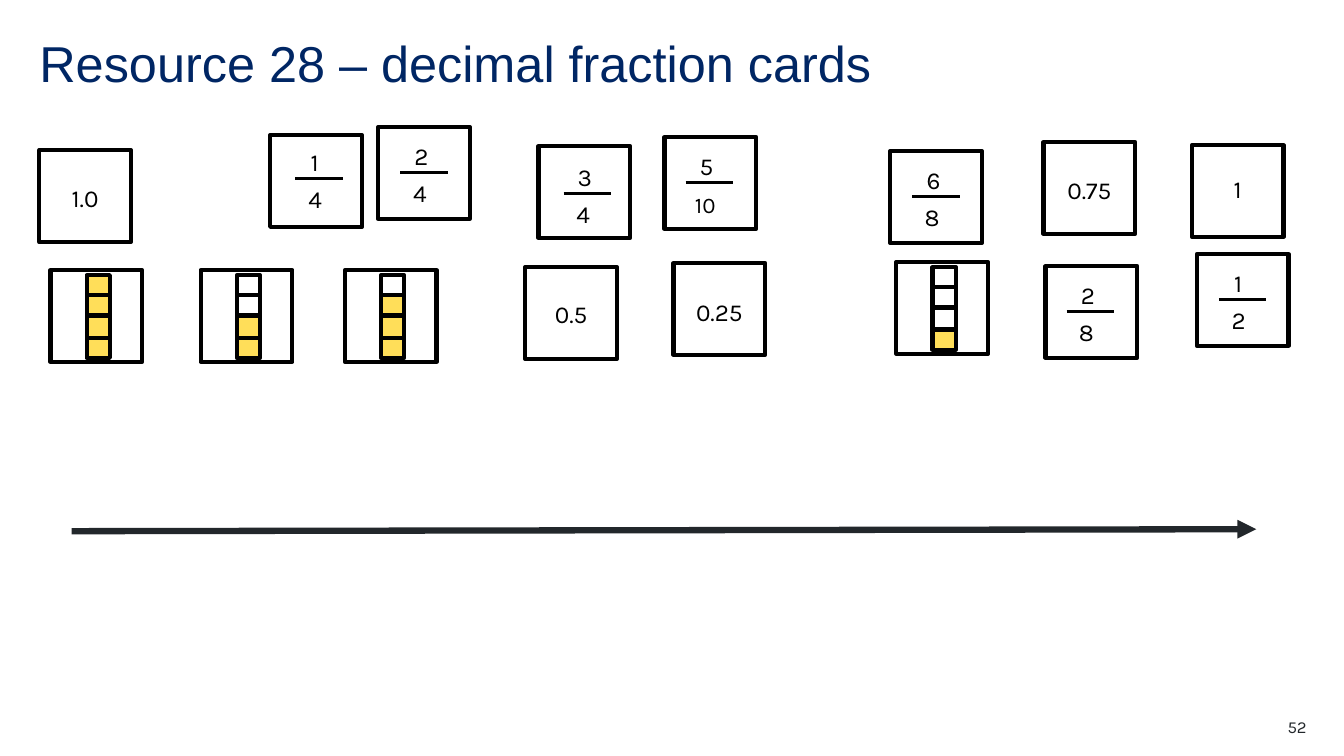
from lxml.etree import SubElement
from pptx import Presentation
from pptx.dml.color import RGBColor
from pptx.enum.shapes import MSO_CONNECTOR, MSO_SHAPE
from pptx.enum.text import MSO_ANCHOR, MSO_AUTO_SIZE, PP_ALIGN
from pptx.oxml.ns import qn
from pptx.util import Emu, Pt

EMU_PER_PX = 9144
CARD_SIZE = 91
CELL_WIDTH, CELL_HEIGHT, CELL_STEP = 23, 22, 20

BLACK = RGBColor(0x00, 0x00, 0x00)
WHITE = RGBColor(0xFF, 0xFF, 0xFF)
NAVY = RGBColor(0x00, 0x26, 0x64)
CHARCOAL = RGBColor(0x22, 0x27, 0x2B)
YELLOW = RGBColor(0xFF, 0xDE, 0x59)

FRACTION_CARDS = [
    (268, 134, "1", "4", 39, 7),
    (375, 126, "2", "4", 36, 9),
    (534, 145, "3", "4", 39, 11),
    (659, 136, "5", "10", 35, 9),
    (1187, 252, "1", "2", 36, 9),
    (1037, 264, "2", "8", 35, 9),
    (883, 150, "6", "8", 36, 9),
]
NUMBER_CARDS = [
    (39, 149, "1.0", 28),
    (1182, 144, "1", 24),
    (1035, 141, "0.75", 28),
    (521, 265, "0.5", 27),
    (668, 261, "0.25", 29),
]
BAR_CARDS = [(50, 268, 4), (199, 268, 2), (342, 268, 3), (889, 260, 1)]


def px(value):
    return Emu(value * EMU_PER_PX)


def format_text(text_frame, size, color, font_name="Karla", alignment=PP_ALIGN.CENTER, spacing=Pt(24.4)):
    text_frame.word_wrap = True
    text_frame.auto_size = MSO_AUTO_SIZE.NONE
    text_frame.vertical_anchor = MSO_ANCHOR.TOP
    text_frame.margin_left = text_frame.margin_right = 0
    text_frame.margin_top = text_frame.margin_bottom = 0
    paragraph = text_frame.paragraphs[0]
    paragraph.alignment = alignment
    paragraph.line_spacing = spacing
    for run in paragraph.runs:
        run.font.name = font_name
        run.font.size = Pt(size)
        run.font.color.rgb = color


def add_label(shapes, text, left, top, width, height=32, size=17.4):
    label = shapes.add_textbox(px(left), px(top), px(width), px(height))
    label.text_frame.text = text
    format_text(label.text_frame, size, BLACK)


def add_box(shapes, left, top, width, height, fill):
    box = shapes.add_shape(MSO_SHAPE.RECTANGLE, px(left), px(top), px(width), px(height))
    box.shadow.inherit = False
    box.fill.solid()
    box.fill.fore_color.rgb = fill
    box.line.color.rgb = BLACK
    box.line.width = Pt(3)


def add_line(shapes, start, end, color, width):
    line = shapes.add_connector(MSO_CONNECTOR.STRAIGHT, px(start[0]), px(start[1]), px(end[0]), px(end[1]))
    line.line.color.rgb = color
    line.line.width = Pt(width)
    SubElement(line._element.spPr, qn("a:effectLst"))
    return line


def add_card(slide, left, top):
    card = slide.shapes.add_group_shape()
    add_box(card.shapes, left, top, CARD_SIZE, CARD_SIZE, WHITE)
    return card.shapes


def add_fraction_card(slide, left, top, numerator, denominator, offset_x, offset_y):
    shapes = add_card(slide, left, top)
    x, y = left + offset_x, top + offset_y
    add_label(shapes, numerator, x, y, 10)
    add_label(shapes, denominator, x - 7, y + 37, 25, size=16 if len(denominator) > 1 else 17.4)
    add_line(shapes, (x - 14, y + 36), (x + 33, y + 36), BLACK, 2.32)


def add_number_card(slide, left, top, number, offset_y):
    shapes = add_card(slide, left, top)
    add_label(shapes, number, left + 17, top + offset_y, 57)


def add_bar_card(slide, left, top, shaded):
    shapes = add_card(slide, left, top)
    for row in (3, 0, 1, 2):
        fill = YELLOW if row >= 4 - shaded else WHITE
        add_box(shapes, left + 36, top + 5 + row * CELL_STEP, CELL_WIDTH, CELL_HEIGHT, fill)


def add_number_line(slide):
    arrow = add_line(slide.shapes, (71, 527), (1246, 525), CHARCOAL, 4.5)
    SubElement(arrow.line._get_or_add_ln(), qn("a:tailEnd"), type="triangle")


def add_title(slide):
    title = slide.shapes.title
    title.left, title.top, title.width, title.height = px(39), px(39), px(1256), px(60)
    title.text_frame.text = "Resource 28 – decimal fraction cards"
    format_text(title.text_frame, 36, NAVY, "Arial", PP_ALIGN.LEFT, 0.9)


def add_page_number(slide):
    page_number = slide.shapes.add_textbox(px(1217), px(713), px(79), px(20))
    page_number.text_frame.text = "52"
    format_text(page_number.text_frame, 12, CHARCOAL, alignment=PP_ALIGN.RIGHT, spacing=0.9)


def main():
    presentation = Presentation()
    presentation.slide_width, presentation.slide_height = px(1333), px(750)
    slide = presentation.slides.add_slide(presentation.slide_layouts[5])
    add_title(slide)
    add_page_number(slide)
    for card in FRACTION_CARDS:
        add_fraction_card(slide, *card)
    for card in NUMBER_CARDS:
        add_number_card(slide, *card)
    for card in BAR_CARDS:
        add_bar_card(slide, *card)
    add_number_line(slide)
    presentation.save("out.pptx")


if __name__ == "__main__":
    main()
